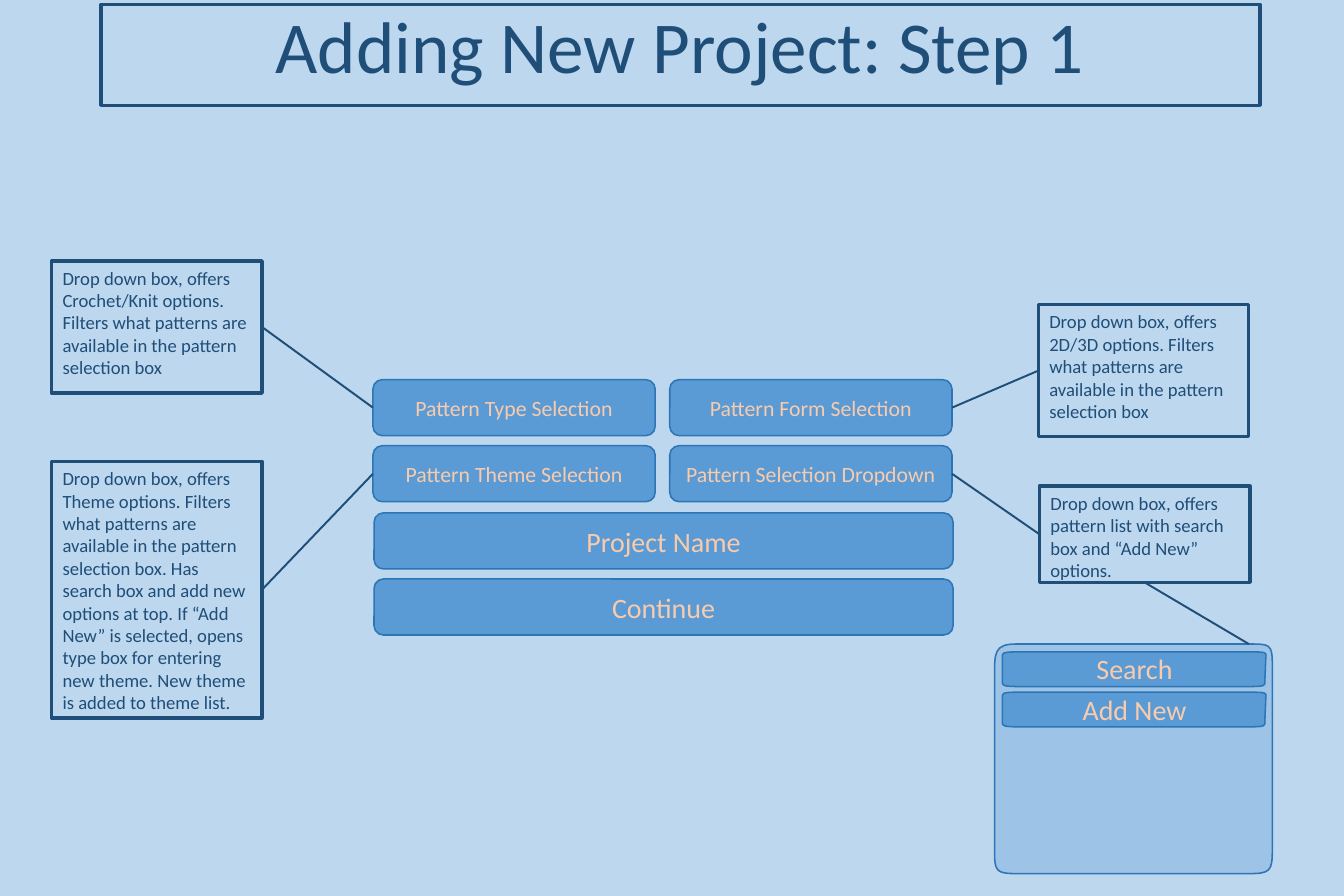
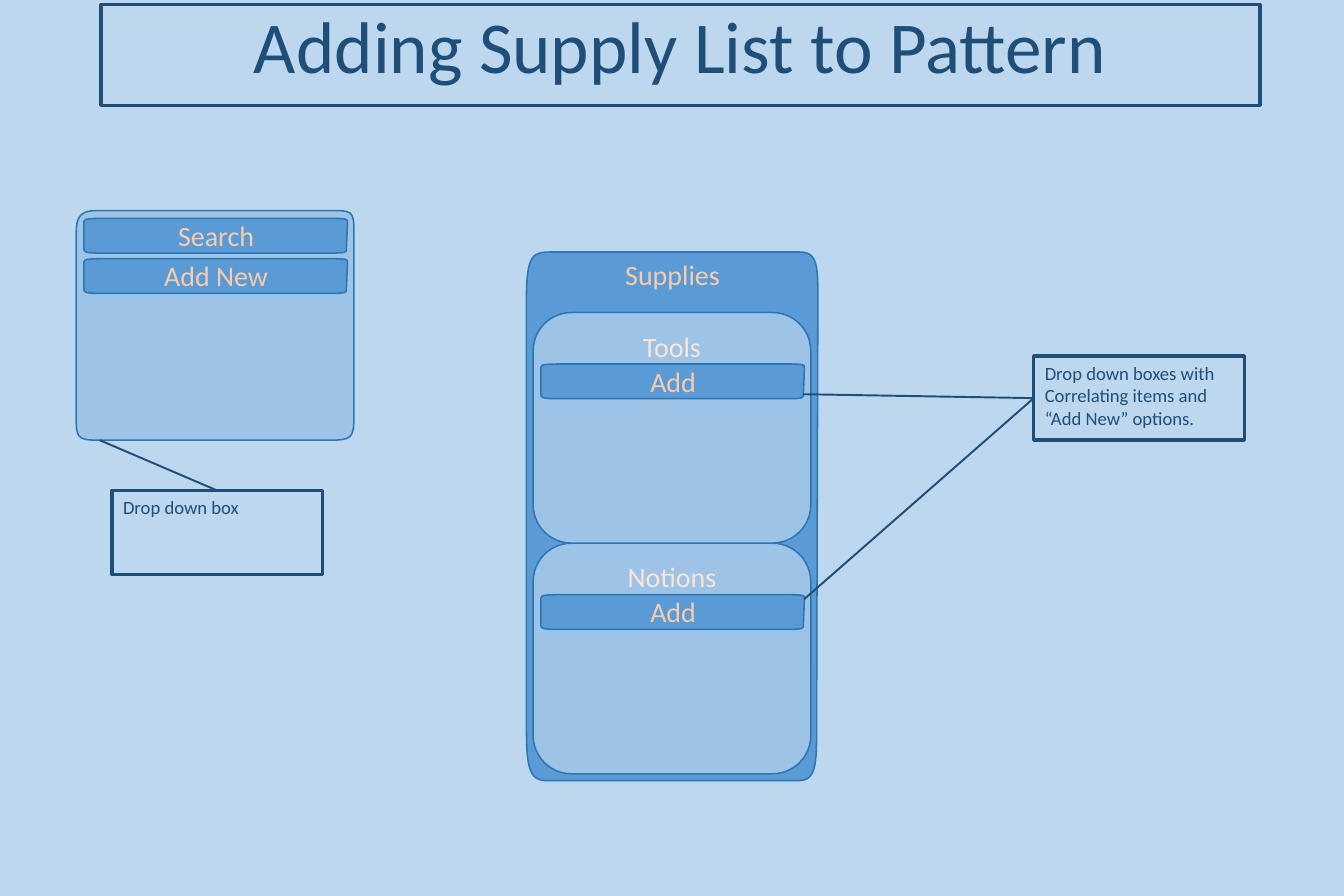
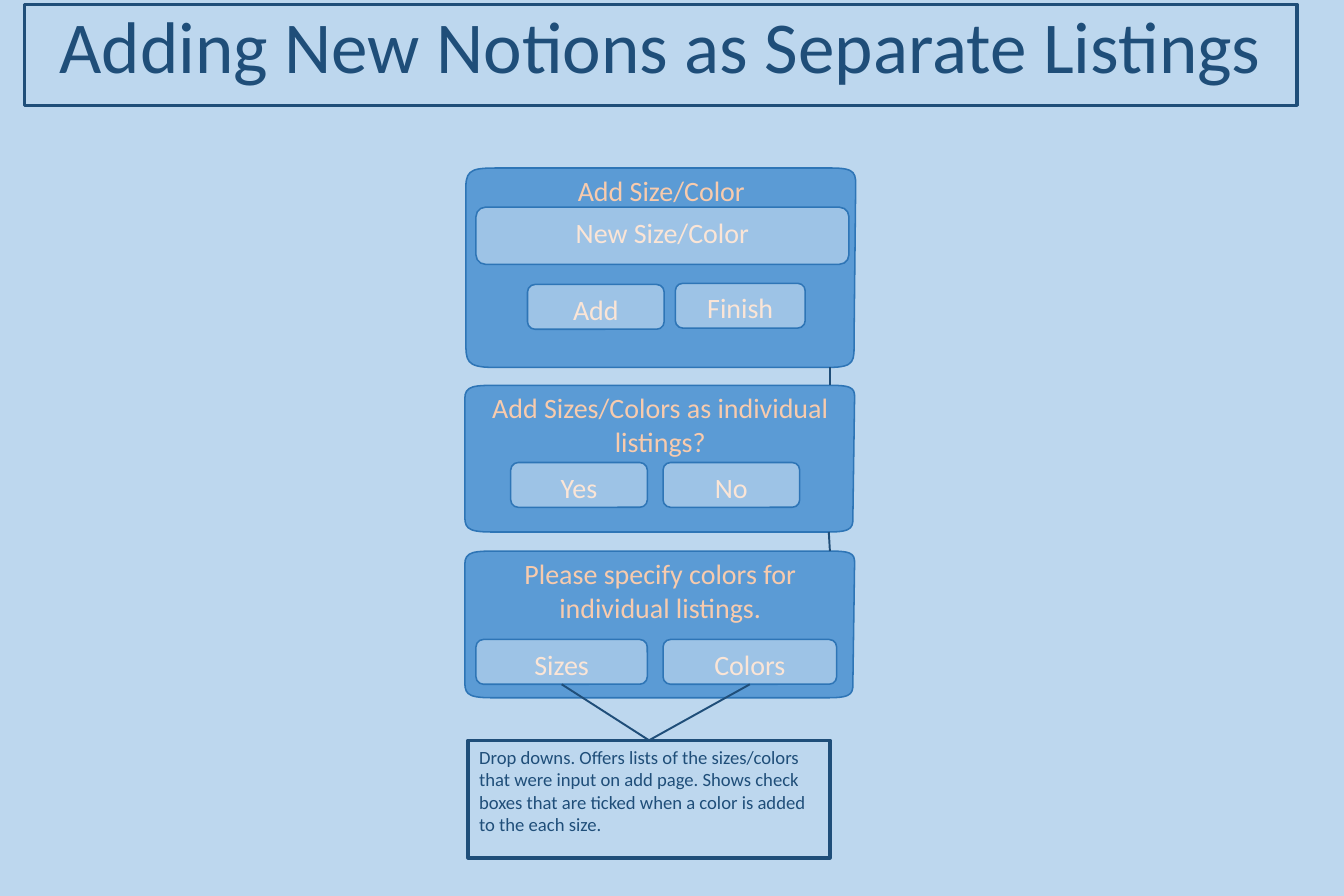
from dataclasses import dataclass, replace
from typing import Optional, Union

from lxml.etree import SubElement
from pptx import Presentation
from pptx.dml.color import RGBColor
from pptx.enum.shapes import MSO_CONNECTOR, MSO_SHAPE
from pptx.enum.text import MSO_ANCHOR, MSO_AUTO_SIZE, PP_ALIGN
from pptx.oxml.ns import qn
from pptx.shapes.autoshape import Shape
from pptx.slide import Slide
from pptx.util import Inches, Pt

NAVY = RGBColor(0x1F, 0x4E, 0x79)
EDGE = RGBColor(0x2E, 0x75, 0xB6)
BLUE = RGBColor(0x5B, 0x9B, 0xD5)
LIGHT = RGBColor(0x9D, 0xC3, 0xE6)
PALE = RGBColor(0xBD, 0xD7, 0xEE)
PEACH = RGBColor(0xF8, 0xCB, 0xAD)
CREAM = RGBColor(0xFB, 0xE5, 0xD6)
FONT = "Calibri"
TOP, LEFT, BOTTOM, RIGHT = range(4)

Point = tuple[float, float]
Curve = tuple[Point, Point, Point, Point]
Outline = tuple[Curve, ...]

SKEWED: Outline = (
    ((0, 9.3), (0, 0), (2.3, 0), (9.2, 0)),
    ((93.3, 0), (100, 0), (99.8, 2.5), (99.7, 11.7)),
    ((99.3, 87.2), (99.3, 96.5), (99.7, 100), (93, 100)),
    ((6.9, 100), (0, 100), (0, 96.5), (0, 87.2)),
)
ROUNDED: Outline = (
    ((0, 13.2), (0, 3.9), (0, 0), (7.7, 0)),
    ((91.5, 0), (99.2, 0), (100, 0), (100, 9)),
    ((100, 89.8), (100, 99), (99.2, 100), (91.5, 100)),
    ((8.1, 100), (0.4, 100), (0, 99), (0, 89.8)),
)


@dataclass(frozen=True)
class Style:
    """Look of one kind of box."""
    fill: Optional[RGBColor]
    color: RGBColor
    size: int = 18
    line: RGBColor = EDGE
    weight: float = 1
    align: PP_ALIGN = PP_ALIGN.CENTER
    anchor: MSO_ANCHOR = MSO_ANCHOR.TOP
    shape: Union[MSO_SHAPE, Outline] = MSO_SHAPE.ROUNDED_RECTANGLE
    side: float = 0.1
    top: float = 0.05


@dataclass(frozen=True)
class Box:
    """Text with its place in inches."""
    text: str
    x: float
    y: float
    w: float
    h: float


NOTE = Style(None, NAVY, 12, NAVY, 2.25, PP_ALIGN.LEFT, shape=MSO_SHAPE.RECTANGLE)
WIDE_FIELD = Style(BLUE, PEACH, anchor=MSO_ANCHOR.MIDDLE)
FIELD = replace(WIDE_FIELD, size=14, side=0)
DIALOG = Style(BLUE, PEACH, shape=SKEWED)
MENU_ITEM = replace(DIALOG, top=0)
MENU = Style(LIGHT, PEACH, shape=ROUNDED)
OPTION = Style(LIGHT, CREAM)


def add_outline(s: Slide, box: Box, outline: Outline) -> Shape:
    """Build a closed box whose corners are cubic curves."""
    pts = [(Inches(box.x + u * box.w / 100), Inches(box.y + v * box.h / 100))
           for curve in outline for u, v in curve]
    builder = s.shapes.build_freeform(*pts[0])
    builder.add_line_segments(pts[1:], close=True)
    sp = builder.convert_to_shape()
    lines = list(sp._element.iter(qn("a:lnTo")))
    for i in range(0, len(lines), 4):
        corner = lines[i]
        corner.tag = qn("a:cubicBezTo")
        for control in lines[i + 1:i + 3]:
            corner.append(control[0])
            control.getparent().remove(control)
    return sp


def add_box(s: Slide, box: Box, style: Style) -> Shape:
    """Draw a box and its text in the given style."""
    if isinstance(style.shape, tuple):
        sp = add_outline(s, box, style.shape)
    else:
        sp = s.shapes.add_shape(style.shape, Inches(box.x), Inches(box.y),
                                Inches(box.w), Inches(box.h))
    sp.shadow.inherit = False
    if style.fill is None:
        sp.fill.background()
    else:
        sp.fill.solid()
        sp.fill.fore_color.rgb = style.fill
    sp.line.color.rgb = style.line
    sp.line.width = Pt(style.weight)
    if box.text:
        tf = sp.text_frame
        tf.word_wrap = True
        tf.vertical_anchor = style.anchor
        tf.margin_left = tf.margin_right = Inches(style.side)
        tf.margin_top = Inches(style.top)
        tf.text = box.text
        p = tf.paragraphs[0]
        p.alignment = style.align
        r = p.runs[0]
        r.font.name = FONT
        r.font.size = Pt(style.size)
        r.font.color.rgb = style.color
    return sp


End = Union[Point, tuple[Shape, int]]


def add_link(s: Slide, begin: End, end: End) -> None:
    """Draw a line between points or sides of shapes."""
    cn = s.shapes.add_connector(MSO_CONNECTOR.STRAIGHT, 0, 0, 0, 0)
    if isinstance(begin[0], Shape):
        cn.begin_connect(*begin)
    else:
        cn.begin_x, cn.begin_y = map(Inches, begin)
    if isinstance(end[0], Shape):
        cn.end_connect(*end)
    else:
        cn.end_x, cn.end_y = map(Inches, end)
    cn.line.color.rgb = NAVY
    cn.line.width = Pt(1.25)
    SubElement(cn._element.spPr, qn("a:effectLst"))


def add_slide(prs: Presentation, title: str, x: float = 0.9, w: float = 10.35) -> Slide:
    """Add a slide with a framed title."""
    s = prs.slides.add_slide(prs.slide_layouts[5])
    sp = s.shapes.title
    sp.left, sp.top, sp.width, sp.height = map(Inches, (x, 0.04, w, 0.9))
    sp.line.color.rgb = NAVY
    sp.line.width = Pt(2.25)
    tf = sp.text_frame
    tf.text = title
    tf.word_wrap = True
    tf.auto_size = MSO_AUTO_SIZE.NONE
    tf.vertical_anchor = MSO_ANCHOR.TOP
    p = tf.paragraphs[0]
    p.alignment = PP_ALIGN.CENTER
    p.line_spacing = 0.9
    r = p.runs[0]
    r.font.name = FONT
    r.font.size = Pt(47)
    r.font.color.rgb = NAVY
    return s


def add_menu(s: Slide, x: float, y: float) -> None:
    """Draw an open drop-down with its two fixed items."""
    add_box(s, Box("", x, y, 2.48, 2.05), MENU)
    for text, dy in (("Add New", 0.43), ("Search", 0.07)):
        add_box(s, Box(text, x + 0.07, y + dy, 2.36, 0.31), MENU_ITEM)


def project_slide(prs: Presentation) -> None:
    """Build the new project form."""
    s = add_slide(prs, "Adding New Project: Step 1")
    names = ("Pattern Type Selection", "Pattern Form Selection",
             "Pattern Theme Selection", "Pattern Selection Dropdown")
    fields = [add_box(s, Box(text, 3.33 + 2.65 * (i % 2), 3.39 + 0.59 * (i // 2), 2.52, 0.5), FIELD)
              for i, text in enumerate(names)]
    filters = "Filters what patterns are available in the pattern selection box"
    notes = [add_box(s, box, NOTE) for box in (
        Box(f"Drop down box, offers Crochet/Knit options. {filters}", 0.46, 2.33, 1.88, 1.18),
        Box(f"Drop down box, offers 2D/3D options. {filters}", 9.27, 2.72, 1.88, 1.18),
        Box(f"Drop down box, offers Theme options. {filters}. Has search box and add new "
            "options at top. If “Add New” is selected, opens type box for entering new "
            "theme. New theme is added to theme list.", 0.46, 4.12, 1.88, 2.29),
        Box("Drop down box, offers pattern list with search box and “Add New” options.",
            9.28, 4.34, 1.88, 0.86))]
    for i, (note, field) in enumerate(zip(notes, fields)):
        near, far = (LEFT, RIGHT) if i % 2 else (RIGHT, LEFT)
        add_link(s, (note, near), (field, far))
    for i, text in enumerate(("Project Name", "Continue")):
        add_box(s, Box(text, 3.34, 4.58 + 0.59 * i, 5.17, 0.5), WIDE_FIELD)
    add_menu(s, 8.88, 5.75)
    add_link(s, (11.15, 5.75), (notes[-1], BOTTOM))


def supply_slide(prs: Presentation) -> None:
    """Build the supply list panel."""
    s = add_slide(prs, "Adding Supply List to Pattern")
    add_box(s, Box("Supplies", 4.7, 2.25, 2.61, 4.72), DIALOG)
    for text, y in (("Notions", 4.85), ("Tools", 2.79)):
        add_box(s, Box(text, 4.76, y, 2.48, 2.06), OPTION)
        add_box(s, Box("Add", 4.83, y + 0.46, 2.36, 0.31), MENU_ITEM)
    note = add_box(s, Box("Drop down boxes with Correlating items and “Add New” options.",
                          9.23, 3.18, 1.88, 0.75), NOTE)
    for corner in ((7.18, 5.35), (7.17, 3.52)):
        add_link(s, corner, (note, LEFT))
    add_menu(s, 0.68, 1.88)
    note = add_box(s, Box("Drop down box", 1, 4.38, 1.88, 0.75), NOTE)
    add_link(s, (0.89, 3.93), (note, TOP))


def notions_slide(prs: Presentation) -> None:
    """Build the chain of size and color dialogs."""
    s = add_slide(prs, "Adding New Notions as Separate Listings", 0.22, 11.36)
    note = add_box(s, Box("Drop downs. Offers lists of the sizes/colors that were input on add "
                          "page. Shows check boxes that are ticked when a color is added to "
                          "the each size.", 4.18, 6.61, 3.23, 1.05), NOTE)
    for box in (Box("Add Size/Color", 4.16, 1.5, 3.49, 1.78),
                Box("Add Sizes/Colors as individual listings?", 4.15, 3.44, 3.49, 1.31),
                Box("Please specify colors for individual listings.", 4.15, 4.92, 3.49, 1.31)):
        add_box(s, box, DIALOG)
    options = [add_box(s, box, OPTION) for box in (
        Box("New Size/Color", 4.25, 1.85, 3.33, 0.51),
        Box("Add", 4.71, 2.54, 1.22, 0.4),
        Box("Finish", 6.03, 2.53, 1.16, 0.4),
        Box("Yes", 4.56, 4.13, 1.22, 0.4),
        Box("No", 5.92, 4.13, 1.22, 0.4),
        Box("Sizes", 4.25, 5.71, 1.53, 0.4),
        Box("Colors", 5.92, 5.71, 1.55, 0.4))]
    add_link(s, (7.41, 3.28), (7.41, 3.44))
    add_link(s, (7.4, 4.75), (7.41, 4.92))
    for option in options[-2:]:
        add_link(s, (option, BOTTOM), (note, TOP))


def main() -> None:
    """Build and save the presentation."""
    prs = Presentation()
    prs.slide_width, prs.slide_height = Inches(12), Inches(8)
    fill = prs.slide_master.background.fill
    fill.solid()
    fill.fore_color.rgb = PALE
    project_slide(prs)
    supply_slide(prs)
    notions_slide(prs)
    prs.save("out.pptx")


if __name__ == "__main__":
    main()
